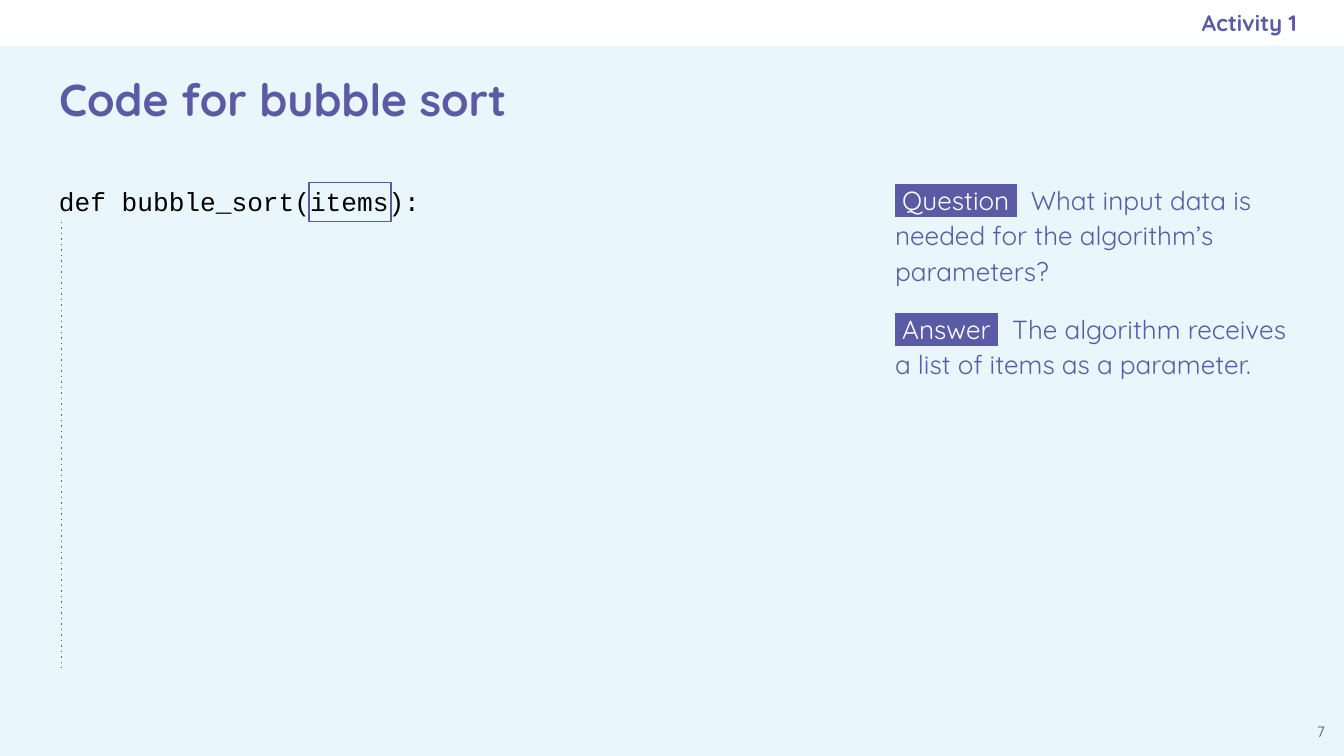
"""Build the bubble sort code slide with its question and answer."""
import pptx
import pptx.dml.color
import pptx.enum.shapes
import pptx.enum.text
import pptx.oxml.ns
import pptx.util
from lxml import etree

Inches = pptx.util.Inches
Pt = pptx.util.Pt
Align = pptx.enum.text.PP_ALIGN
Anchor = pptx.enum.text.MSO_ANCHOR
qn = pptx.oxml.ns.qn
PURPLE = "5B5BA5"


def color(value):
    """Turn a hex string into a colour."""
    return pptx.dml.color.RGBColor.from_string(value)


def write(box, text, font, size, ink, bold=False, align=Align.LEFT, anchor=Anchor.TOP):
    """Fill a box with one formatted paragraph."""
    frame = box.text_frame
    frame.text = text
    frame.word_wrap = True
    frame.auto_size = pptx.enum.text.MSO_AUTO_SIZE.NONE
    frame.vertical_anchor = anchor
    frame.margin_left = frame.margin_right = Inches(0.1)
    frame.margin_top = frame.margin_bottom = Inches(0.1)
    para = frame.paragraphs[0]
    para.alignment = align
    span = para.runs[0]
    span.font.name = font
    span.font.size = Pt(size)
    span.font.bold = bold
    span.font.color.rgb = color(ink)


deck = pptx.Presentation()
deck.slide_width = Inches(10)
deck.slide_height = deck.slide_width * 9 // 16
page = deck.slides.add_slide(deck.slide_layouts[5])
page.background.fill.solid()
page.background.fill.fore_color.rgb = color("E9F7FC")
rectangle = pptx.enum.shapes.MSO_SHAPE.RECTANGLE

band = page.shapes.add_shape(rectangle, 0, 0, Inches(10), Inches(0.34))
band.shadow.inherit = False
band.fill.solid()
band.fill.fore_color.rgb = color("FFFFFF")
band.line.fill.background()

title = page.shapes.title
title.left, title.top = Inches(0.34), Inches(0.35)
title.width, title.height = Inches(9.32), Inches(0.77)
write(title, "Code for bubble sort", "Quicksand", 24, PURPLE, bold=True, anchor=Anchor.MIDDLE)

code = page.shapes.add_textbox(Inches(0.34), Inches(1.28), Inches(6.52), Inches(4))
write(code, "def bubble_sort(items):", "Courier New", 14, "000000")

number = page.shapes.add_textbox(Inches(9.66), Inches(5.28), Inches(0.34), Inches(0.34))
write(number, "7", "Quicksand", 8, "494985", align=Align.CENTER)

activity = page.shapes.add_textbox(Inches(5.75), 0, Inches(3.9), Inches(0.34))
write(activity, "Activity 1", "Quicksand", 12, PURPLE, bold=True, align=Align.RIGHT, anchor=Anchor.MIDDLE)
activity.text_frame.margin_right = 0

marker = page.shapes.add_shape(rectangle, Inches(2.3), Inches(1.36), Inches(0.61), Inches(0.29))
marker.shadow.inherit = False
marker.fill.background()
marker.line.color.rgb = color(PURPLE)
marker.line.width = Pt(0.75)

exchange = [
    (" Question ", "What input data is needed for the algorithm’s parameters?"),
    (" Answer ", "The algorithm receives a list of items as a parameter."),
]
discussion = page.shapes.add_textbox(Inches(6.6), Inches(1.28), Inches(3.06), Inches(0.82))
frame = discussion.text_frame
frame.word_wrap = True
frame.margin_left = frame.margin_right = Inches(0.06)
frame.margin_top = frame.margin_bottom = Inches(0.06)
for index, (label, sentence) in enumerate(exchange):
    para = frame.add_paragraph() if index else frame.paragraphs[0]
    para.line_spacing = 1.13
    if index:
        para.space_before = Pt(12)
    for text, ink in [(label, "FFFFFF"), (" ", PURPLE), (sentence, PURPLE)]:
        span = para.add_run()
        span.text = text
        span.font.size = Pt(14)
        span.font.color.rgb = color(ink)
        properties = span._r.get_or_add_rPr()
        if text == label:
            highlight = etree.SubElement(properties, qn("a:highlight"))
            etree.SubElement(highlight, qn("a:srgbClr"), val=PURPLE)
        if text == " ":
            properties.set("spc", "375")
        span.font.name = "Quicksand"

guide = page.shapes.add_connector(
    pptx.enum.shapes.MSO_CONNECTOR.STRAIGHT, Inches(0.46), Inches(1.65), Inches(0.46), Inches(4.97)
)
guide.line.color.rgb = color("666666")
guide.line.width = Pt(0.75)
outline = guide.line._get_or_add_ln()
etree.SubElement(outline, qn("a:prstDash"), val="dot")
etree.SubElement(outline.getparent(), qn("a:effectLst"))

deck.save("out.pptx")
